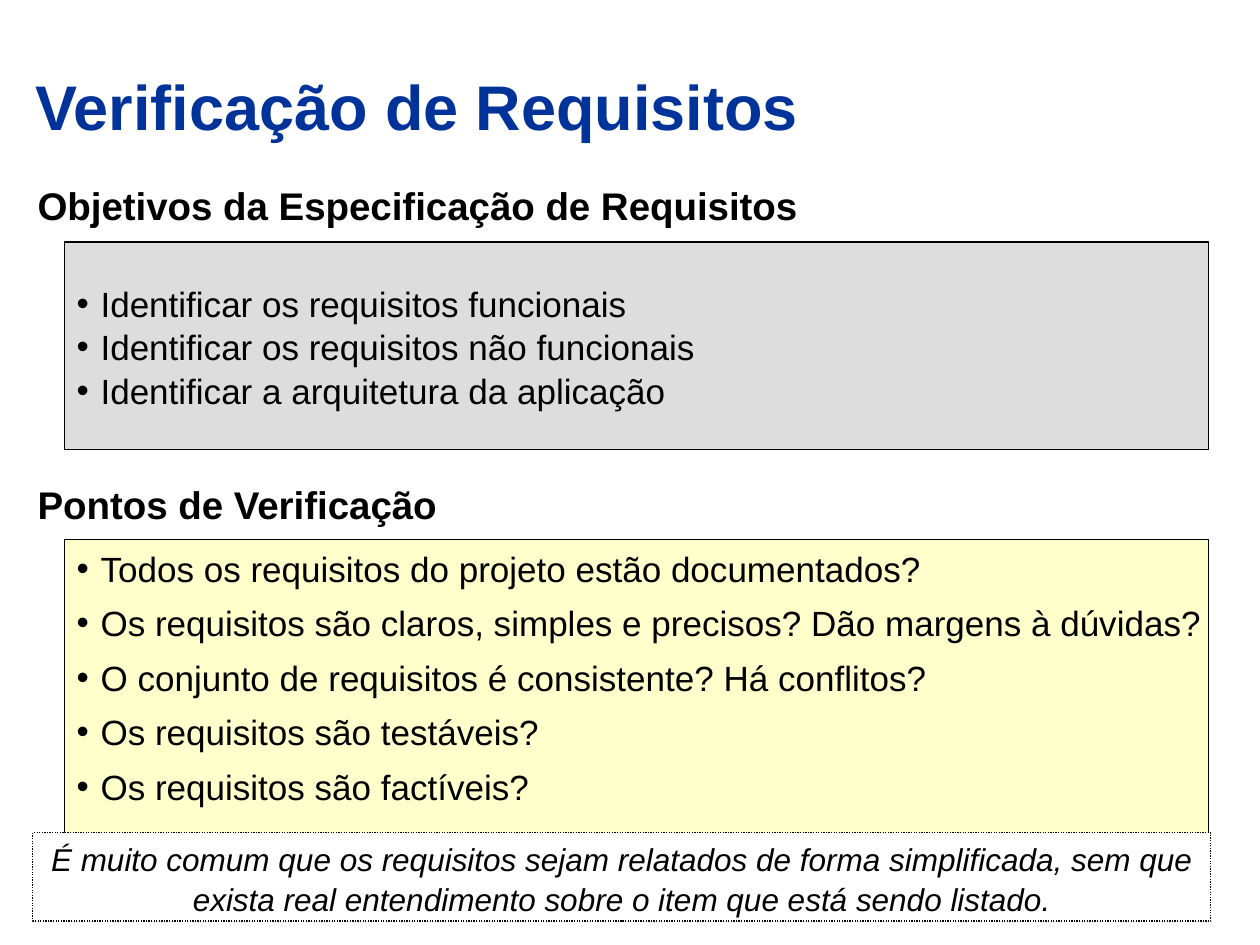
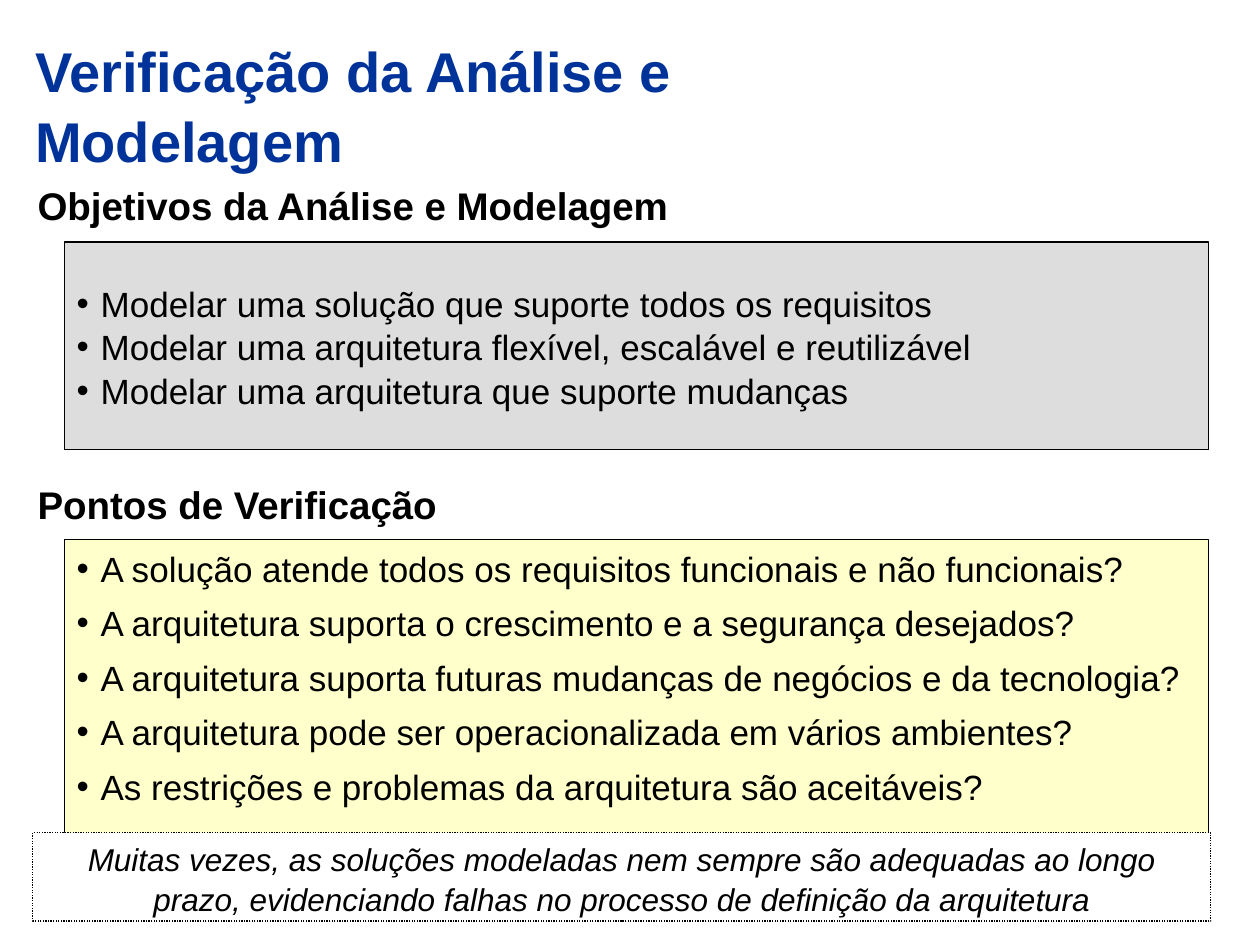
from pptx import Presentation
from pptx.util import Inches, Pt
from pptx.dml.color import RGBColor
from pptx.enum.dml import MSO_LINE
from pptx.enum.shapes import MSO_SHAPE
from pptx.enum.text import MSO_ANCHOR, PP_ALIGN
from pptx.oxml.ns import qn
from lxml.etree import SubElement

theme = {
    "face": "Arial",
    "blue": RGBColor(0x00, 0x33, 0x99),
    "black": RGBColor(0x00, 0x00, 0x00),
    "gray": RGBColor(0xDD, 0xDD, 0xDD),
    "cream": RGBColor(0xFF, 0xFF, 0xCC),
    "white": RGBColor(0xFF, 0xFF, 0xFF),
    "head": Pt(22), "list": Pt(20), "note": Pt(18),
    "edge": Pt(0.75), "space": 1.04,
}

styles = {
    "title": {
        "font": {"bold": True}, "ink": "blue",
        "frame": {"vertical_anchor": MSO_ANCHOR.MIDDLE,
                  "margin_top": Inches(0.08), "margin_bottom": 0},
    },
    "head": {
        "font": {"bold": True, "size": theme["head"]}, "hang": 0.38,
        "frame": {"margin_top": Inches(0.07)},
        "para": {"space_after": Pt(11)},
    },
    "goals": {
        "font": {"size": theme["list"]}, "fill": "gray", "hang": 0.19, "mark": "•",
        "frame": {"vertical_anchor": MSO_ANCHOR.MIDDLE},
    },
    "checks": {
        "font": {"size": theme["list"]}, "fill": "cream", "hang": 0.19, "mark": "•",
        "frame": {"margin_right": 0},
        "para": {"space_after": Pt(6.2)},
    },
    "note": {
        "font": {"italic": True, "size": theme["note"]}, "fill": "white",
        "para": {"alignment": PP_ALIGN.CENTER}, "dash": MSO_LINE.ROUND_DOT,
    },
}


def apply(obj, vals):
    for key, val in vals.items():
        setattr(obj, key, val)


def place(slide, kind, spot, lines, size=None):
    style = styles[kind]
    area = [Inches(n) for n in spot]
    if "fill" in style:
        shape = slide.shapes.add_shape(MSO_SHAPE.RECTANGLE, *area)
        shape.shadow.inherit = False
        shape.fill.solid()
        shape.fill.fore_color.rgb = theme[style["fill"]]
        shape.line.color.rgb = theme["black"]
        apply(shape.line, {"width": theme["edge"], "dash_style": style.get("dash")})
    else:
        shape = slide.shapes.add_textbox(*area)
    frame = shape.text_frame
    base = {"word_wrap": True, "vertical_anchor": MSO_ANCHOR.TOP}
    apply(frame, base | style.get("frame", {}))
    frame.text = "\n".join(lines)
    for para in frame.paragraphs:
        base = {"alignment": PP_ALIGN.LEFT, "line_spacing": theme["space"]}
        apply(para, base | style.get("para", {}))
        props = para._p.get_or_add_pPr()
        if "hang" in style:
            props.set("marL", str(Inches(style["hang"])))
            props.set("indent", str(-Inches(style["hang"])))
        if "mark" in style:
            SubElement(props, qn("a:buFont"), typeface=theme["face"])
            SubElement(props, qn("a:buChar"), char=style["mark"])
        for run in para.runs:
            apply(run.font, {"name": theme["face"], "size": size} | style["font"])
            run.font.color.rgb = theme[style.get("ink", "black")]


pages = [
    {
        "title": "Verificação de Requisitos", "size": Pt(36), "wide": 9.62,
        "head": "Objetivos da Especificação de Requisitos",
        "goals": [
            "Identificar os requisitos funcionais",
            "Identificar os requisitos não funcionais",
            "Identificar a arquitetura da aplicação",
        ],
        "checks": [
            "Todos os requisitos do projeto estão documentados?",
            "Os requisitos são claros, simples e precisos? Dão margens à dúvidas?",
            "O conjunto de requisitos é consistente? Há conflitos?",
            "Os requisitos são testáveis?",
            "Os requisitos são factíveis?",
        ],
        "note": "É muito comum que os requisitos sejam relatados de forma simplificada, "
                "sem que exista real entendimento sobre o item que está sendo listado.",
    },
    {
        "title": "Verificação da Análise e Modelagem", "size": Pt(32), "wide": 7.68,
        "head": "Objetivos da Análise e Modelagem",
        "goals": [
            "Modelar uma solução que suporte todos os requisitos",
            "Modelar uma arquitetura flexível, escalável e reutilizável",
            "Modelar uma arquitetura que suporte mudanças",
        ],
        "checks": [
            "A solução atende todos os requisitos funcionais e não funcionais?",
            "A arquitetura suporta o crescimento e a segurança desejados?",
            "A arquitetura suporta futuras mudanças de negócios e da tecnologia?",
            "A arquitetura pode ser operacionalizada em vários ambientes?",
            "As restrições e problemas da arquitetura são aceitáveis?",
        ],
        "note": "Muitas vezes, as soluções modeladas nem sempre são adequadas ao longo "
                "prazo, evidenciando falhas no processo de definição da arquitetura",
    },
]

deck = Presentation()
apply(deck, {"slide_width": Inches(10), "slide_height": Inches(7.5)})

for page in pages:
    slide = deck.slides.add_slide(deck.slide_layouts[6])
    place(slide, "title", (0.18, 0.28, page["wide"], 1.01), [page["title"]], page["size"])
    place(slide, "head", (0.2, 1.36, 9.61, 0.7), [page["head"]])
    place(slide, "goals", (0.51, 1.92, 9.08, 1.65), page["goals"])
    place(slide, "checks", (0.51, 4.28, 9.08, 2.51), page["checks"])
    place(slide, "note", (0.26, 6.61, 9.35, 0.7), [page["note"]])
    place(slide, "head", (0.2, 3.73, 9.61, 0.55), ["Pontos de Verificação"])

deck.save("out.pptx")
